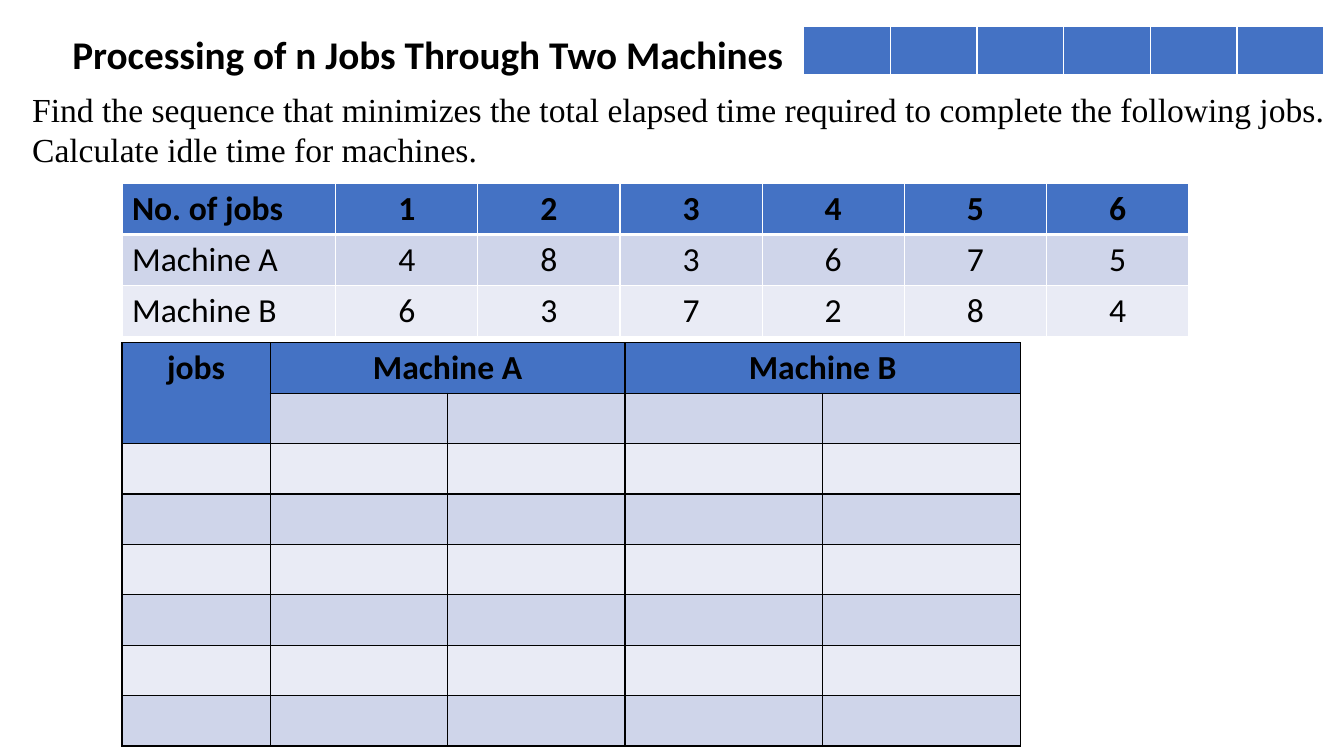
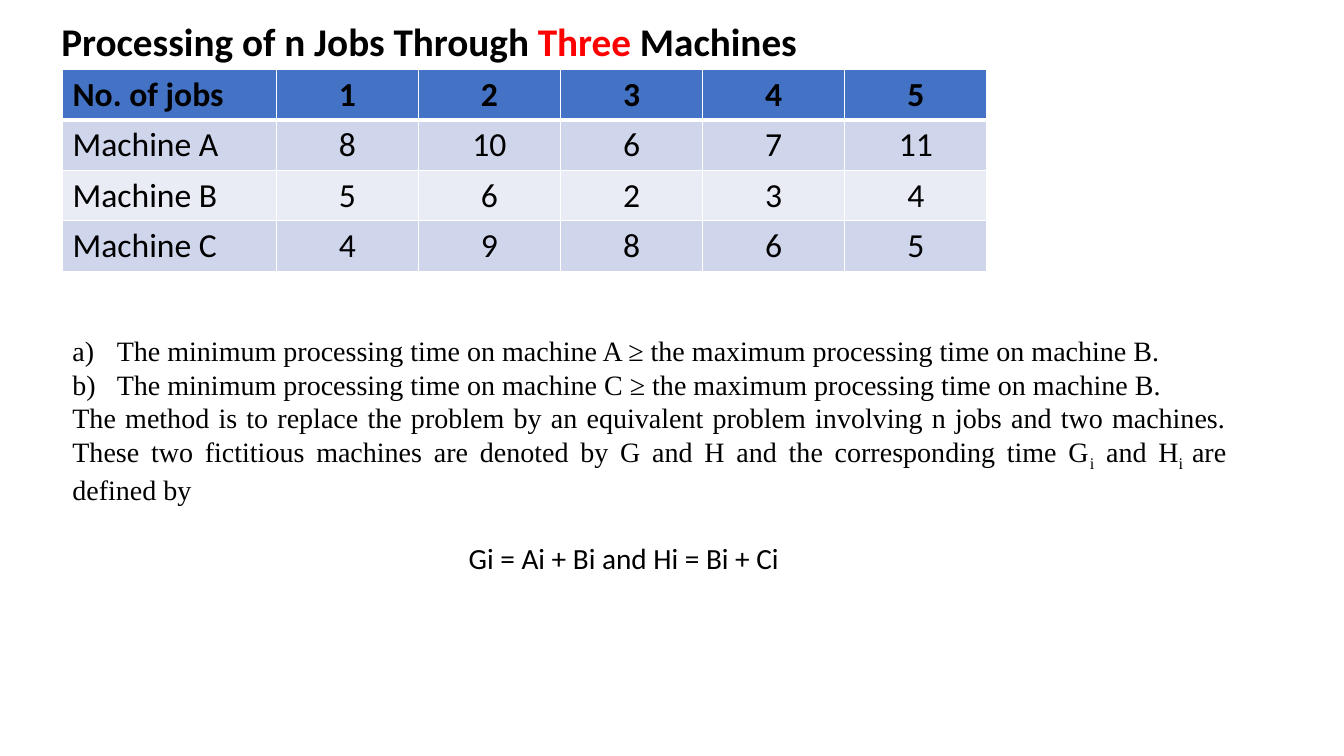
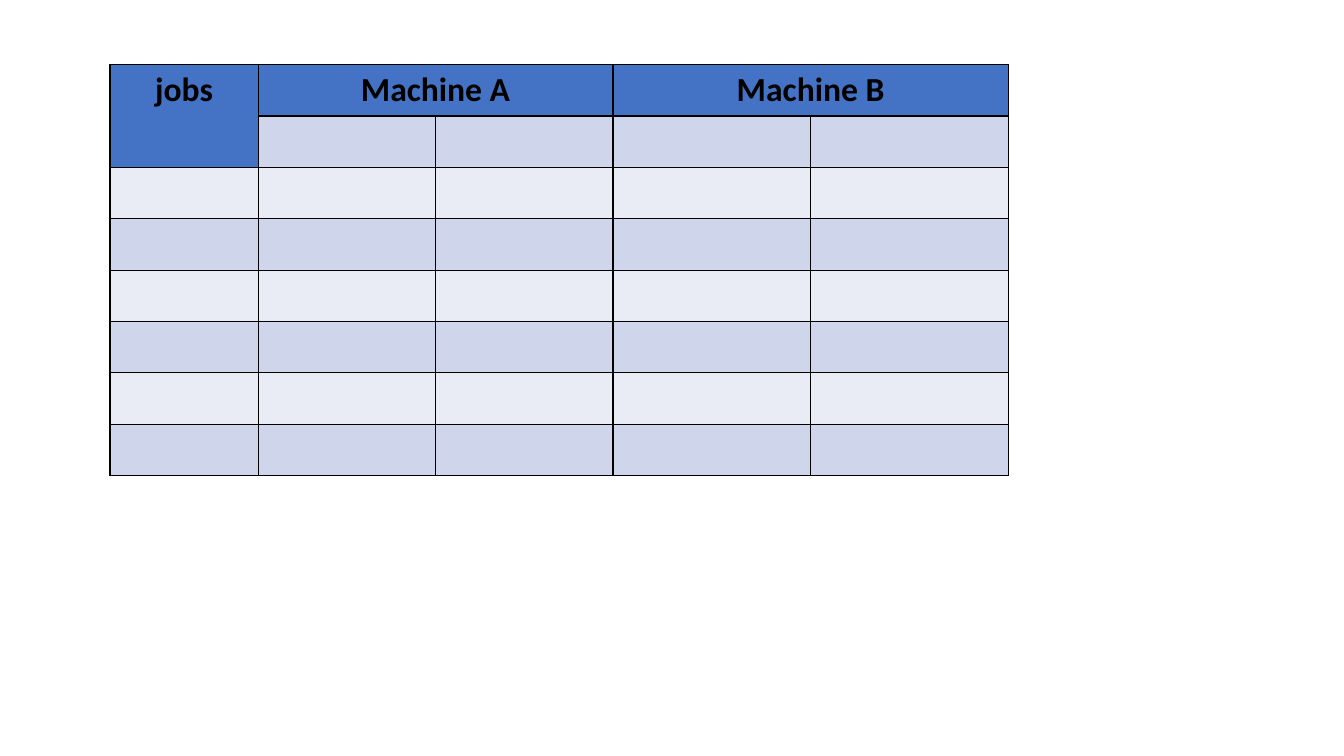
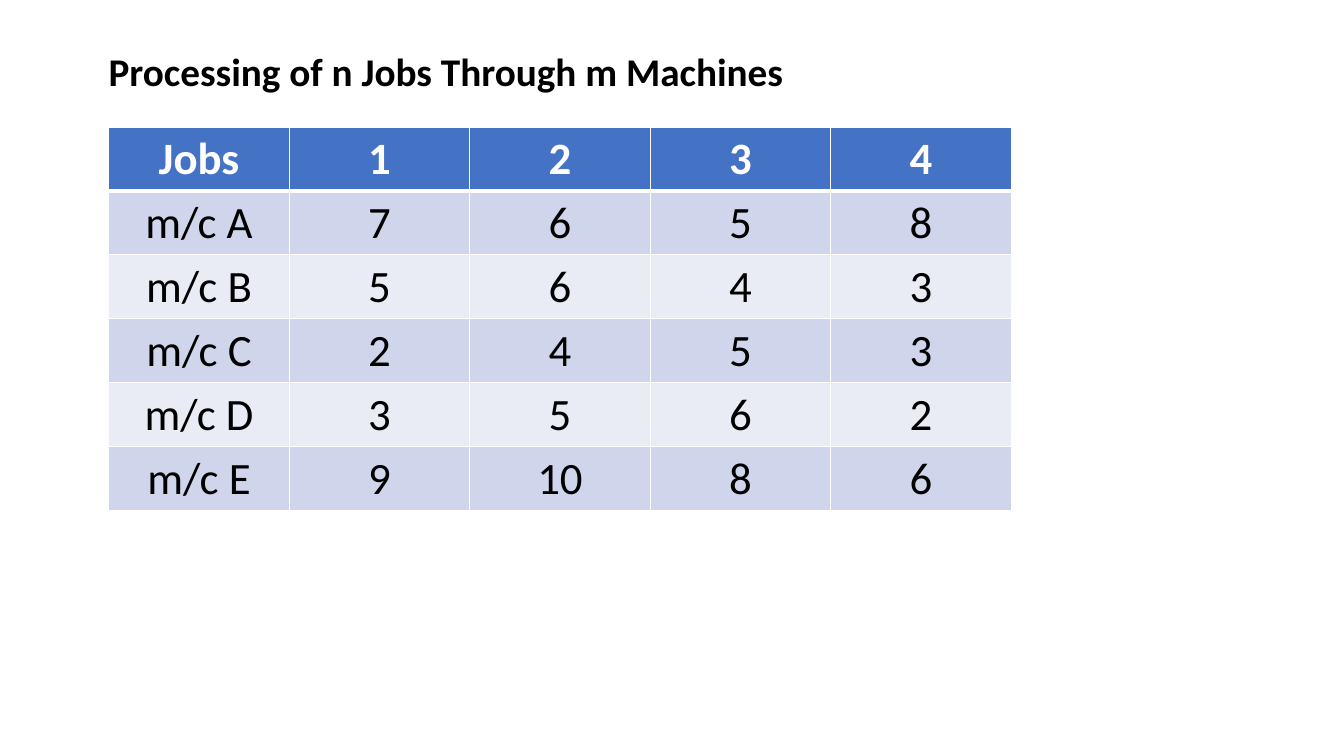
"""Build four slides on sequencing n jobs through two, three and m machines."""
from pptx import Presentation
from pptx.dml.color import RGBColor
from pptx.enum import text
from pptx.oxml.ns import qn
from pptx.util import Inches, Pt
from lxml import etree

COLORS = {
    "header": "4472C4",
    "band_dark": "CFD5EA",
    "band_light": "E9EBF5",
    "black": "000000",
    "white": "FFFFFF",
    "red": "FF0000",
}
SANS, SERIF = "Calibri", "Times New Roman"
LEFT, CENTER, JUSTIFY = text.PP_ALIGN.LEFT, text.PP_ALIGN.CENTER, text.PP_ALIGN.JUSTIFY
SUBSCRIPT = "-25000"

TWO_MACHINES = [
    ["No. of jobs", "1", "2", "3", "4", "5", "6"],
    ["Machine A", "4", "8", "3", "6", "7", "5"],
    ["Machine B", "6", "3", "7", "2", "8", "4"],
]
THREE_MACHINES = [
    ["No. of jobs", "1", "2", "3", "4", "5"],
    ["Machine A", "8", "10", "6", "7", "11"],
    ["Machine B", "5", "6", "2", "3", "4"],
    ["Machine C", "4", "9", "8", "6", "5"],
]
M_MACHINES = [
    ["Jobs", "1", "2", "3", "4"],
    ["m/c A", "7", "6", "5", "8"],
    ["m/c B", "5", "6", "4", "3"],
    ["m/c C", "2", "4", "5", "3"],
    ["m/c D", "3", "5", "6", "2"],
    ["m/c E", "9", "10", "8", "6"],
]
WORKSHEET = [["jobs", "Machine A", "", "Machine B", ""]] + [[""] * 5 for _ in range(7)]
WORKSHEET_COLS = [1.47, 1.76, 1.76, 1.96, 1.96]
WORKSHEET_MERGES = [((0, 0), (1, 0)), ((0, 1), (0, 2)), ((0, 3), (0, 4))]
TASK = [
    "Find the sequence that minimizes the total elapsed time required to complete the following jobs.",
    "Calculate idle time for machines.",
]
CONDITIONS = [
    "The minimum processing time on machine A ≥ the maximum processing time on machine B.",
    "The minimum processing time on machine C ≥ the maximum processing time on machine B.",
]
METHOD = [
    ("The method is to replace the problem by an equivalent problem involving n jobs and two machines. "
     "These two fictitious machines are denoted by G and H and the corresponding time G", False),
    ("i", True),
    (" and H", False),
    ("i ", True),
    ("are defined by", False),
]
FORMULA = "Gi = Ai + Bi and Hi = Bi + Ci"


def style(r, size, font=SANS, color="black", bold=False, sub=False):
    r.font.size, r.font.name, r.font.bold = Pt(size), font, bold
    r.font.color.rgb = RGBColor.from_string(COLORS[color])
    if sub:
        r.font._element.set("baseline", SUBSCRIPT)


def add_run(p, words, size, **look):
    r = p.add_run()
    r.text = words
    style(r, size, **look)


def add_box(s, x, y, w, h):
    tf = s.shapes.add_textbox(Inches(x), Inches(y), Inches(w), Inches(h)).text_frame
    tf.word_wrap = True
    tf.auto_size = text.MSO_AUTO_SIZE.SHAPE_TO_FIT_TEXT
    return tf


def add_title(s, x, y, *parts):
    p = add_box(s, x, y, 8.83, 0.57).paragraphs[0]
    for words, color in parts:
        add_run(p, words, 28, color=color, bold=True)


def set_border(cell, side, color, width):
    ln = etree.SubElement(cell._tc.get_or_add_tcPr(), qn(f"a:ln{side}"), w=str(Pt(width)))
    fill = etree.SubElement(ln, qn("a:solidFill"))
    etree.SubElement(fill, qn("a:srgbClr"), val=COLORS[color])


def add_table(s, x, y, cols, row_height, rows, size=24, header_color="black",
              first_align=CENTER, line="white", merges=()):
    frame = s.shapes.add_table(len(rows), len(cols), Inches(x), Inches(y),
                               Inches(sum(cols)), Inches(row_height * len(rows)))
    table = frame.table
    for column, width in zip(table.columns, cols):
        column.width = Inches(width)
    rule = 3 if line == "white" else 1
    for i, row in enumerate(rows):
        table.rows[i].height = Inches(row_height)
        band = "header" if i == 0 else "band_dark" if i % 2 else "band_light"
        for j, words in enumerate(row):
            cell = table.cell(i, j)
            widths = {"L": 1, "R": 1, "T": rule if i == 1 else 1, "B": rule if i == 0 else 1}
            for side, width in widths.items():
                set_border(cell, side, line, width)
            cell.fill.solid()
            cell.fill.fore_color.rgb = RGBColor.from_string(COLORS[band])
            if words:
                p = cell.text_frame.paragraphs[0]
                p.alignment = CENTER if j else first_align
                add_run(p, words, size, color="black" if i else header_color, bold=i == 0)
    for start, end in merges:
        table.cell(*start).merge(table.cell(*end))


def add_worksheet(s, x, y, row_height):
    add_table(s, x, y, WORKSHEET_COLS, row_height, WORKSHEET,
              line="black", merges=WORKSHEET_MERGES)


def add_job_times(s, x, y, rows):
    cols = [2.12] + [1.41] * (len(rows[0]) - 1)
    add_table(s, x, y, cols, 0.5, rows, first_align=LEFT)


def add_task(s):
    tf = add_box(s, 0.22, 0.83, 13.08, 0.91)
    for i, line in enumerate(TASK):
        p = tf.add_paragraph() if i else tf.paragraphs[0]
        add_run(p, line, 24, font=SERIF)


def add_method(s):
    tf = add_box(s, 0.62, 3.26, 11.64, 2.41)
    for i, condition in enumerate(CONDITIONS):
        p = tf.add_paragraph() if i else tf.paragraphs[0]
        p.alignment = JUSTIFY
        pPr = p._p.get_or_add_pPr()
        pPr.set("marL", str(Inches(0.44)))
        pPr.set("indent", str(Inches(-0.44)))
        etree.SubElement(pPr, qn("a:buFont"), typeface=SERIF)
        etree.SubElement(pPr, qn("a:buAutoNum"), type="alphaLcParenR")
        add_run(p, condition, 20, font=SERIF)
    p = tf.add_paragraph()
    p.alignment = JUSTIFY
    for words, sub in METHOD:
        add_run(p, words, 20, font=SERIF, sub=sub)
    p = tf.add_paragraph()
    p._p.get_or_add_pPr().set("marL", str(Inches(3.93)))
    add_run(p, FORMULA, 36, sub=True)


def main():
    prs = Presentation()
    prs.slide_width, prs.slide_height = Inches(13.33), Inches(7.5)
    two, three, blank_sheet, many = [prs.slides.add_slide(prs.slide_layouts[6]) for _ in range(4)]

    add_job_times(two, 1.21, 1.82, TWO_MACHINES)
    add_task(two)
    add_title(two, 0.62, 0.25, ("Processing of n Jobs Through Two Machines", "black"))
    add_worksheet(two, 1.21, 3.4, 0.5)
    add_table(two, 7.97, 0.26, [0.86] * 6, 0.49, [[""] * 6])

    add_job_times(three, 0.62, 0.69, THREE_MACHINES)
    add_title(three, 0.51, 0.12, ("Processing of n Jobs Through ", "black"),
              ("Three", "red"), (" Machines", "black"))
    add_method(three)

    add_worksheet(blank_sheet, 1.09, 0.64, 0.51)

    add_title(many, 0.98, 0.42, ("Processing of n Jobs Through m Machines", "black"))
    add_table(many, 1.08, 1.26, [1.79] * 5, 0.63, M_MACHINES, size=32, header_color="white")
    prs.save("out.pptx")


if __name__ == "__main__":
    main()
